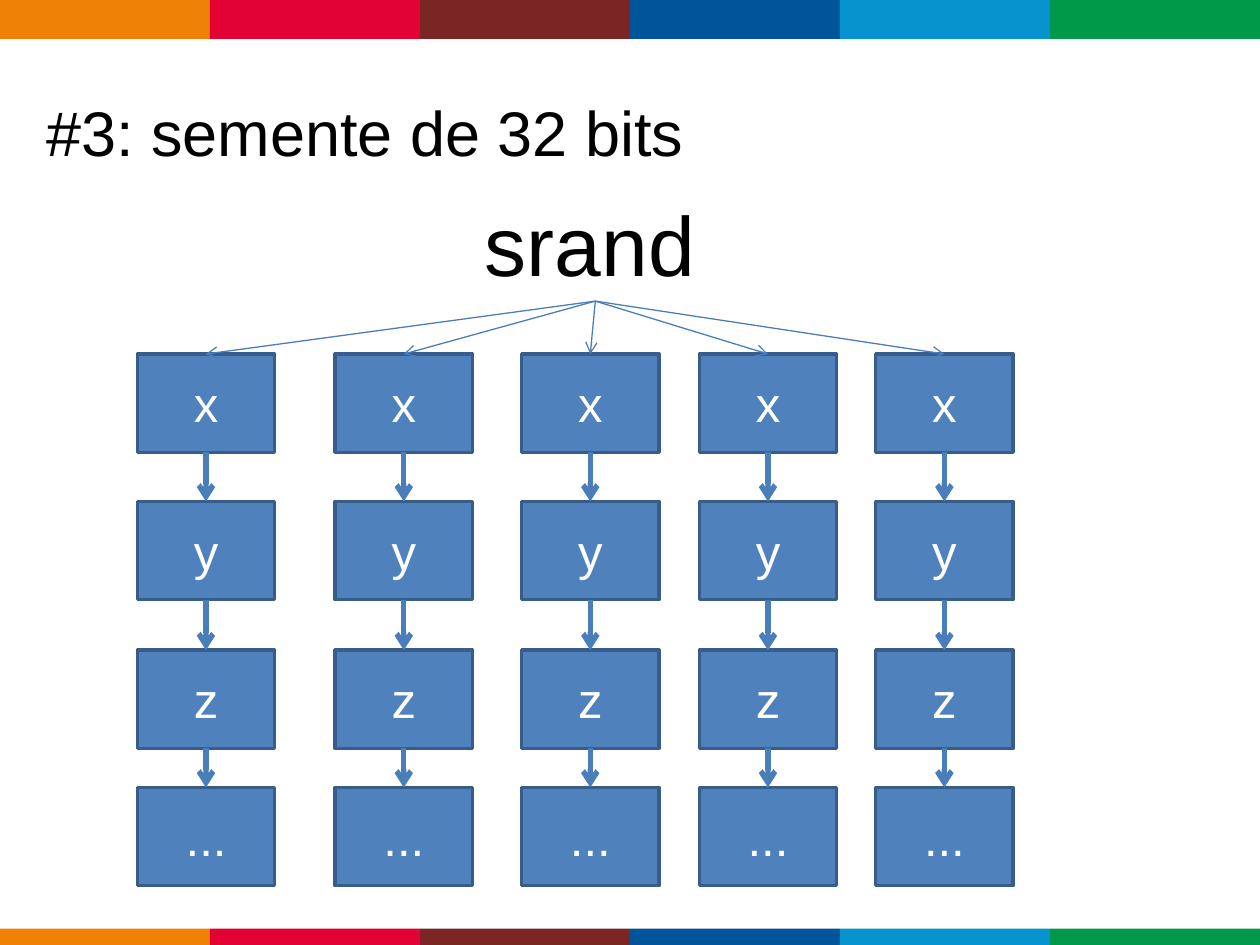
"""Draw one seed call that feeds five equal chains of random values."""
from dataclasses import dataclass
from itertools import pairwise

from lxml import etree
from pptx import Presentation
from pptx.dml.color import RGBColor
from pptx.enum.shapes import MSO_CONNECTOR, MSO_SHAPE
from pptx.enum.text import MSO_ANCHOR, PP_ALIGN
from pptx.oxml.ns import qn
from pptx.shapes.autoshape import Shape
from pptx.slide import Slide
from pptx.util import Inches, Pt

RECT = MSO_SHAPE.RECTANGLE
LINE = MSO_CONNECTOR.STRAIGHT
MID, TOP = MSO_ANCHOR.MIDDLE, MSO_ANCHOR.TOP
LEFT, CENTER = PP_ALIGN.LEFT, PP_ALIGN.CENTER

WIDE, HIGH = Inches(10), Inches(7.5)
COLS, ROWS = 100, 75
FONT = "Arial"
COLORS = {
    "text": "000000", "label": "FFFFFF",
    "box": "4F81BD", "edge": "385D8A", "arrow": "4A7EBB",
}
BANDS = ("EF8206", "E20334", "7B2525", "00549A", "0794CE", "009949")
CHAINS = (10.9, 26.6, 41.4, 55.5, 69.5)
STEPS = {"x": 28.1, "y": 39.8, "z": 51.6, "...": 62.5}
BOX_W, BOX_H = 10.9, 7.8
ROOT = (47.25, 23.9)


@dataclass(frozen=True)
class Area:
    col: float
    row: float
    cols: float
    rows: float

    def place(self) -> tuple[int, int, int, int]:
        return (*point(self.col, self.row), *point(self.cols, self.rows))


@dataclass(frozen=True)
class Label:
    text: str
    size: float
    color: str
    align: PP_ALIGN
    anchor: MSO_ANCHOR


def point(col: float, row: float) -> tuple[int, int]:
    return round(WIDE * col / COLS), round(HIGH * row / ROWS)


def paint(code: str) -> RGBColor:
    return RGBColor.from_string(code)


def write(shape: Shape, label: Label) -> None:
    frame = shape.text_frame
    frame.word_wrap = True
    frame.vertical_anchor = label.anchor
    para = frame.paragraphs[0]
    para.alignment = label.align
    run = para.add_run()
    run.text = label.text
    run.font.name = FONT
    run.font.size = Pt(label.size)
    run.font.color.rgb = paint(COLORS[label.color])


def add_text(slide: Slide, area: Area, label: Label) -> None:
    write(slide.shapes.add_textbox(*area.place()), label)


def add_rect(slide: Slide, area: Area, color: str) -> Shape:
    rect = slide.shapes.add_shape(RECT, *area.place())
    rect.shadow.inherit = False
    rect.fill.solid()
    rect.fill.fore_color.rgb = paint(color)
    rect.line.fill.background()
    return rect


def add_box(slide: Slide, area: Area, text: str) -> None:
    box = add_rect(slide, area, COLORS["box"])
    box.line.color.rgb = paint(COLORS["edge"])
    box.line.width = Pt(2)
    write(box, Label(text, 28, "label", CENTER, MID))


def add_arrow(slide: Slide, start: tuple[float, float],
              end: tuple[float, float], width: float) -> None:
    arrow = slide.shapes.add_connector(LINE, *point(*start), *point(*end))
    arrow.line.color.rgb = paint(COLORS["arrow"])
    arrow.line.width = Pt(width)
    tail = etree.SubElement(arrow.line._get_or_add_ln(), qn("a:tailEnd"))
    tail.set("type", "arrow")
    etree.SubElement(arrow._element.spPr, qn("a:effectLst"))


def add_bands(slide: Slide, row: float, rows: float) -> None:
    cols = COLS / len(BANDS)
    for i, color in enumerate(BANDS):
        add_rect(slide, Area(i * cols, row, cols, rows), color)


def add_chain(slide: Slide, col: float) -> None:
    mid = col + BOX_W / 2
    for text, row in STEPS.items():
        add_box(slide, Area(col, row, BOX_W, BOX_H), text)
    for row, below in pairwise(STEPS.values()):
        add_arrow(slide, (mid, row + BOX_H), (mid, below), 3)


def main() -> None:
    deck = Presentation()
    deck.slide_width, deck.slide_height = WIDE, HIGH
    slide = deck.slides.add_slide(deck.slide_layouts[6])
    add_bands(slide, 0, 3.1)
    add_bands(slide, 73.7, 1.3)
    add_text(slide, Area(2.7, 5.3, 62.2, 10.2),
             Label("#3: semente de 32 bits", 36, "text", LEFT, MID))
    for col in CHAINS:
        add_chain(slide, col)
    add_text(slide, Area(37.5, 14.8, 19.5, 9),
             Label("srand", 48, "text", LEFT, TOP))
    for col in CHAINS:
        add_arrow(slide, ROOT, (col + BOX_W / 2, STEPS["x"]), 0.75)
    deck.save("out.pptx")


if __name__ == "__main__":
    main()
